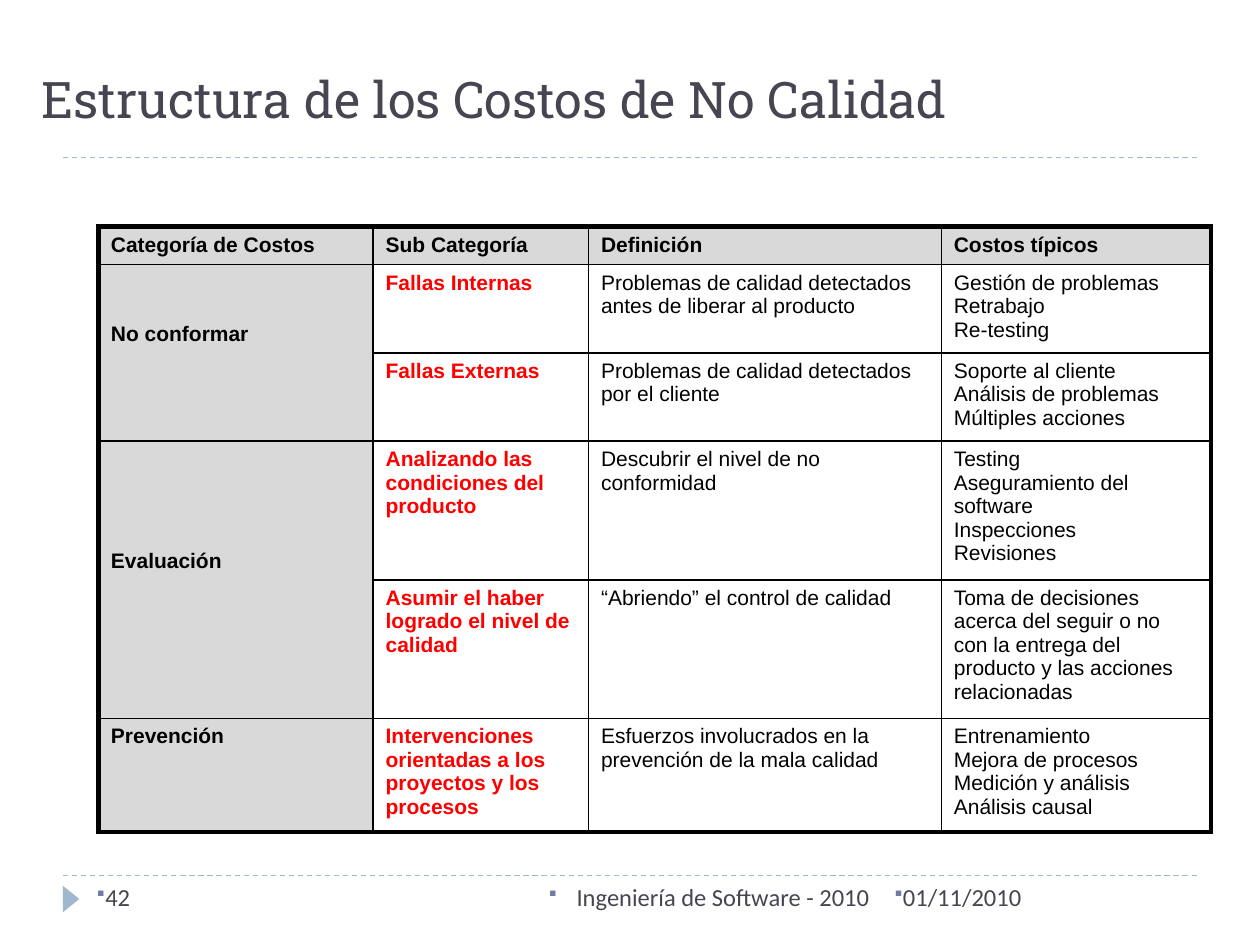
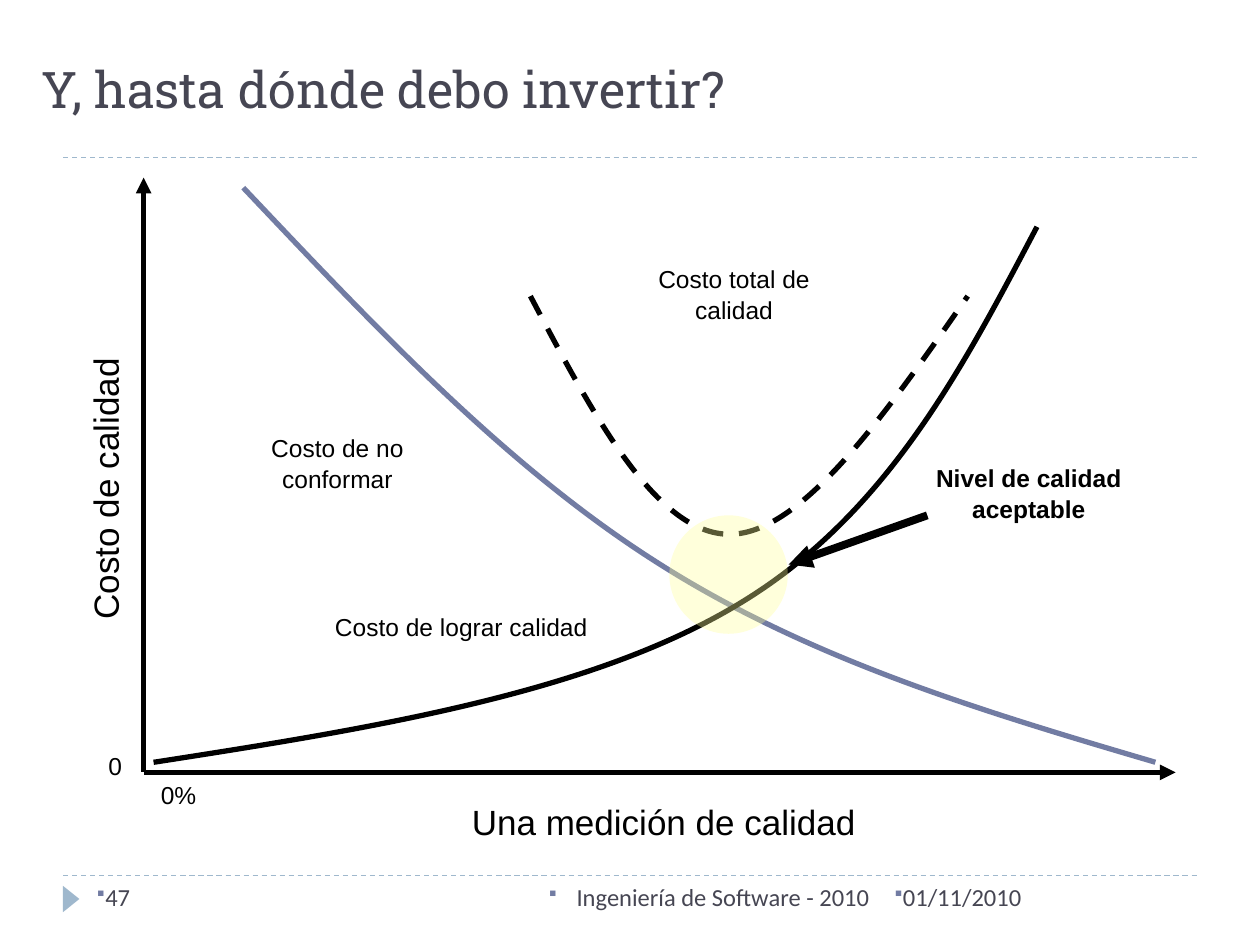
"""Build two slides on the costs of quality: a cost table and a cost curve diagram."""
from dataclasses import dataclass

import lxml.etree
import pptx
import pptx.dml.color
import pptx.enum.dml
import pptx.enum.shapes
import pptx.enum.text
import pptx.oxml
import pptx.oxml.ns
import pptx.util

Pt = pptx.util.Pt
qn = pptx.oxml.ns.qn
ALIGN = pptx.enum.text.PP_ALIGN
ANCHOR = pptx.enum.text.MSO_ANCHOR
SHAPE = pptx.enum.shapes.MSO_SHAPE
DASH = pptx.enum.dml.MSO_LINE.DASH

INK, BLACK, RED = "464653", "000000", "FF0000"
SLATE, MIST, GRAY, YELLOW = "727CA3", "9FB8CD", "D9D9D9", "FFFF99"


@dataclass
class Label:
    """A text box with one paragraph per line of text."""
    text: str
    left: float
    top: float
    width: float
    height: float
    size: float = 14
    font: str = "Arial"
    color: str = BLACK
    bold: bool = False
    align: ALIGN = ALIGN.CENTER
    anchor: ANCHOR = ANCHOR.TOP
    spacing: float = 1.05
    wrap: bool = True
    rotation: float = 0
    bullet_indent: float | None = None


@dataclass
class Stroke:
    """A straight line, with an optional arrowhead at either end."""
    start: tuple[float, float]
    end: tuple[float, float]
    color: str = BLACK
    width: float = 3
    dashed: bool = False
    arrow: str = ""


@dataclass
class Curve:
    """A chain of cubic Bezier segments: a start, then three points for each."""
    points: list[tuple[float, float]]
    color: str = BLACK
    dashed: bool = False


@dataclass
class CostRow:
    """A table row; an empty category continues the one above."""
    category: str
    subcategory: str
    definition: str
    typical_costs: str
    height: float


COST_ROWS = [
    CostRow("Categoría de Costos", "Sub Categoría", "Definición", "Costos típicos", 20.9),
    CostRow("No conformar", "Fallas Internas",
            "Problemas de calidad detectados\nantes de liberar al producto",
            "Gestión de problemas\nRetrabajo\nRe-testing", 48.2),
    CostRow("", "Fallas Externas", "Problemas de calidad detectados por el cliente",
            "Soporte al cliente\nAnálisis de problemas\nMúltiples acciones", 48.2),
    CostRow("Evaluación", "Analizando las condiciones del producto",
            "Descubrir el nivel de no conformidad",
            "Testing\nAseguramiento del software\nInspecciones\nRevisiones", 74.4),
    CostRow("", "Asumir el haber logrado el nivel de calidad",
            "“Abriendo” el control de calidad",
            "Toma de decisiones acerca del seguir o no con la entrega del producto "
            "y las acciones relacionadas", 74.4),
    CostRow("Prevención", "Intervenciones orientadas a los proyectos y los procesos",
            "Esfuerzos involucrados en la prevención de la mala calidad",
            "Entrenamiento\nMejora de procesos\nMedición y análisis\nAnálisis causal", 62),
]
COLUMN_WIDTHS = [157, 123.1, 201.6, 154.1]
SPANNING_MARGIN = 25.3

AXES = [
    Stroke((82.1, 101.5), (82.1, 441.4), arrow="headEnd"),
    Stroke((82.1, 441.4), (671.8, 441.4), arrow="tailEnd"),
]
NONCONFORMITY_COST = Curve(
    [(139, 107.3), (214.6, 187.2), (290.2, 267.8), (377.3, 322.6),
     (463.7, 377.3), (562.3, 406.8), (660.2, 435.6)], SLATE)
ACHIEVEMENT_COST = Curve(
    [(87.8, 435.6), (213.1, 416.2), (338.4, 396), (422.6, 344.9),
     (506.2, 294.5), (549.4, 211.7), (592.6, 129.6)])
TOTAL_COST = Curve(
    [(303.1, 169.2), (339.1, 237.6), (375.1, 305.3), (416.9, 305.3),
     (457.9, 305.3), (505.4, 237.6), (553, 169.2)], dashed=True)
CURVE_LABELS = [
    Label("Costo de no conformar", 133.4, 243.1, 118.8, 41.8),
    Label("Costo total de calidad", 348.6, 146.5, 141.8, 41.8),
    Label("Costo de calidad", -23.8, 263.8, 164.9, 31, 20, wrap=False, rotation=270),
    Label("0", 54.7, 424.8, 22.3, 23.8, wrap=False),
    Label("Una medición de calidad", 261.2, 452.9, 236.2, 31, 20, wrap=False),
    Label("0%", 84.4, 441.4, 35.3, 23.8, wrap=False),
    Label("Costo de lograr calidad", 183.4, 345.2, 160.4, 23.8),
]
ACCEPTABLE_LABEL = Label("Nivel de calidad\naceptable", 527.4, 260.3, 121, 41.8,
                         bold=True, wrap=False)
ACCEPTABLE_ARROW = Stroke((450.7, 322.6), (529.9, 294.5), width=4.5, arrow="headEnd")


def rgb(color: str) -> pptx.dml.color.RGBColor:
    """Turn a hex string into a colour."""
    return pptx.dml.color.RGBColor.from_string(color)


def sub(parent, tag: str, **attributes: str):
    """Append a drawing element with its attributes."""
    return lxml.etree.SubElement(parent, qn(tag), attributes)


def write_run(paragraph, text: str, size: float, font: str, color: str, bold: bool) -> None:
    """Add one styled run to a paragraph."""
    run = paragraph.add_run()
    run.text = text
    run.font.size, run.font.name, run.font.bold = Pt(size), font, bold
    run.font.color.rgb = rgb(color)


def paragraphs(frame, text: str):
    """Yield one paragraph of the frame for each line of text."""
    for index, line in enumerate(text.split("\n")):
        yield (frame.add_paragraph() if index else frame.paragraphs[0]), line


def add_bullet(paragraph, indent: float) -> None:
    """Give a paragraph a small square bullet."""
    properties = paragraph._p.get_or_add_pPr()
    properties.set("marL", str(Pt(indent)))
    properties.set("indent", str(-Pt(indent)))
    sub(sub(properties, "a:buClr"), "a:srgbClr", val=SLATE)
    sub(properties, "a:buSzPct", val="76000")
    sub(properties, "a:buFont", typeface="Wingdings", pitchFamily="2", charset="2")
    sub(properties, "a:buChar", char="§")


def draw_label(slide, label: Label) -> None:
    """Draw a text box."""
    box = slide.shapes.add_textbox(
        Pt(label.left), Pt(label.top), Pt(label.width), Pt(label.height))
    box.rotation = label.rotation
    frame = box.text_frame
    frame.word_wrap, frame.vertical_anchor = label.wrap, label.anchor
    for paragraph, line in paragraphs(frame, label.text):
        paragraph.alignment, paragraph.line_spacing = label.align, label.spacing
        if label.bullet_indent is not None:
            add_bullet(paragraph, label.bullet_indent)
        write_run(paragraph, line, label.size, label.font, label.color, label.bold)


def style_line(line, color: str, width: float, dashed: bool) -> None:
    """Set the colour, width and dash of a line."""
    line.color.rgb, line.width = rgb(color), Pt(width)
    if dashed:
        line.dash_style = DASH


def draw_stroke(slide, stroke: Stroke) -> None:
    """Draw a straight line or arrow."""
    connector = slide.shapes.add_connector(
        pptx.enum.shapes.MSO_CONNECTOR.STRAIGHT,
        *(Pt(value) for value in stroke.start + stroke.end))
    style_line(connector.line, stroke.color, stroke.width, stroke.dashed)
    if stroke.arrow:
        sub(connector.line._get_or_add_ln(), f"a:{stroke.arrow}", type="triangle")
    sub(connector._element.spPr, "a:effectLst")


def draw_curve(slide, curve: Curve) -> None:
    """Draw an open outline and turn each three of its segments into a Bezier."""
    start, *others = [(Pt(x), Pt(y)) for x, y in curve.points]
    builder = slide.shapes.build_freeform(*start)
    builder.add_line_segments(others, close=False)
    outline = builder.convert_to_shape()
    segments = list(outline._element.iter(qn("a:lnTo")))
    for first in range(0, len(segments), 3):
        bezier = sub(segments[first].getparent(), "a:cubicBezTo")
        for segment in segments[first:first + 3]:
            bezier.append(segment[0])
            segment.getparent().remove(segment)
    outline.shadow.inherit = False
    outline.fill.background()
    style_line(outline.line, curve.color, 3, curve.dashed)


def draw_solid(slide, preset: SHAPE, left: float, top: float, width: float,
               height: float, color: str):
    """Draw a filled preset shape without an outline."""
    solid = slide.shapes.add_shape(preset, Pt(left), Pt(top), Pt(width), Pt(height))
    solid.shadow.inherit = False
    solid.fill.solid()
    solid.fill.fore_color.rgb = rgb(color)
    solid.line.fill.background()
    return solid


def add_framed_slide(deck, title: str, title_top: float, number: str):
    """Add a slide with the shared rules, footer and title."""
    slide = deck.slides.add_slide(deck.slide_layouts[6])
    for rule_y in (500.4, 90):
        draw_stroke(slide, Stroke((36, rule_y), (684, rule_y), MIST, 0.75, True))
    draw_solid(slide, SHAPE.ISOSCELES_TRIANGLE, 33.1, 509, 15.1, 9.4, MIST).rotation = 90
    for text, left, width, align, indent in (
            ("01/11/2010", 504, 180, ALIGN.LEFT, 0),
            ("Ingeniería de Software - 2010", 228.2, 275.8, ALIGN.RIGHT, 16),
            (number, 48.2, 156.2, ALIGN.LEFT, 0)):
        draw_label(slide, Label(text, left, 500.4, width, 28.8, 14, "Calibri", INK,
                                align=align, spacing=1, bullet_indent=indent))
    draw_label(slide, Label(title, 16.6, title_top, 675.4, 39.6, 28.8, "Roboto Slab", INK,
                            align=ALIGN.LEFT, anchor=ANCHOR.BOTTOM, spacing=1))
    return slide


def set_borders(cell, widths: dict[str, float]) -> None:
    """Draw the four black borders of a cell, ahead of its fill."""
    properties = cell._tc.get_or_add_tcPr()
    for position, (side, width) in enumerate(widths.items()):
        border = sub(properties, f"a:ln{side}", w=str(Pt(width)))
        sub(sub(border, "a:solidFill"), "a:srgbClr", val=BLACK)
        properties.insert(position, border)


def draw_cost_table(slide) -> None:
    """Draw the table of cost categories."""
    last_row, last_column = len(COST_ROWS) - 1, len(COLUMN_WIDTHS) - 1
    table = slide.shapes.add_table(
        len(COST_ROWS), len(COLUMN_WIDTHS), Pt(56.2), Pt(129.6),
        Pt(sum(COLUMN_WIDTHS)), Pt(sum(row.height for row in COST_ROWS))).table
    table.first_row = table.horz_banding = False
    for column, width in zip(table.columns, COLUMN_WIDTHS):
        column.width = Pt(width)
    for r, row in enumerate(COST_ROWS):
        table.rows[r].height = Pt(row.height)
        texts = (row.category, row.subcategory, row.definition, row.typical_costs)
        for c, text in enumerate(texts):
            cell = table.cell(r, c)
            if r == 0 or c == 0:
                cell.fill.solid()
                cell.fill.fore_color.rgb = rgb(GRAY)
            else:
                cell.fill.background()
            set_borders(cell, {"L": 1 if c else 3, "R": 3 if c == last_column else 1,
                               "T": 1 if r else 3, "B": 3 if r == last_row else 1})
            if not text:
                spanning = table.cell(r - 1, c)
                spanning.merge(cell)
                spanning.vertical_anchor = ANCHOR.MIDDLE
                spanning.margin_bottom = Pt(SPANNING_MARGIN)
                continue
            color = RED if r and c == 1 else BLACK
            for paragraph, line in paragraphs(cell.text_frame, text):
                write_run(paragraph, line, 12, "Arial", color, r == 0 or c < 2)


def draw_cost_curves(slide) -> None:
    """Draw the axes, the three cost curves and the acceptable level."""
    for axis in AXES:
        draw_stroke(slide, axis)
    for curve in (NONCONFORMITY_COST, ACHIEVEMENT_COST, TOTAL_COST):
        draw_curve(slide, curve)
    for label in CURVE_LABELS:
        draw_label(slide, label)
    optimum = draw_solid(slide, SHAPE.OVAL, 382.5, 294.5, 67.7, 67.7, YELLOW)
    sub(optimum._element.spPr.find(f".//{qn('a:srgbClr')}"), "a:alpha", val="35000")
    draw_stroke(slide, ACCEPTABLE_ARROW)
    draw_label(slide, ACCEPTABLE_LABEL)


def main() -> None:
    """Build and save the deck."""
    deck = pptx.Presentation()
    deck.slide_width, deck.slide_height = Pt(720), Pt(540)
    draw_cost_table(add_framed_slide(
        deck, "Estructura de los Costos de No Calidad", 37.4, "42"))
    draw_cost_curves(add_framed_slide(deck, "Y, hasta dónde debo invertir?", 31.7, "47"))
    deck.save("out.pptx")


if __name__ == "__main__":
    main()
